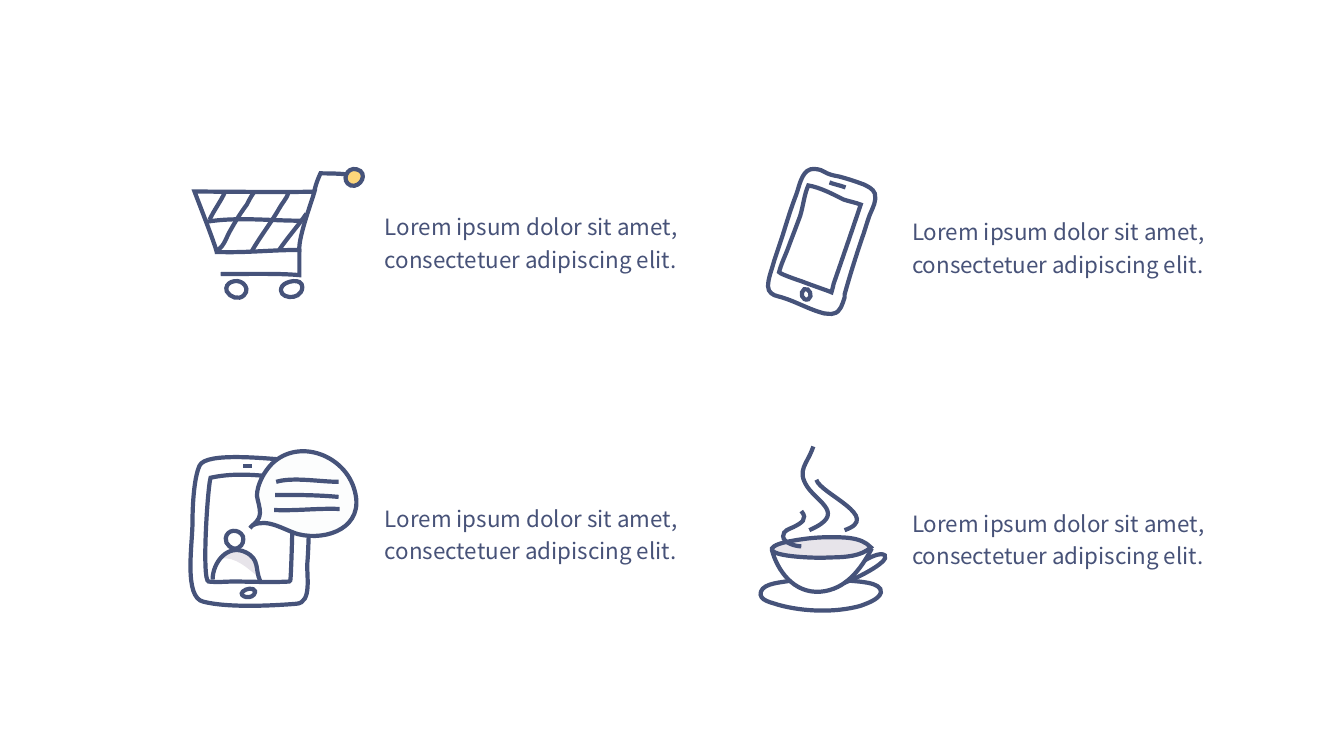
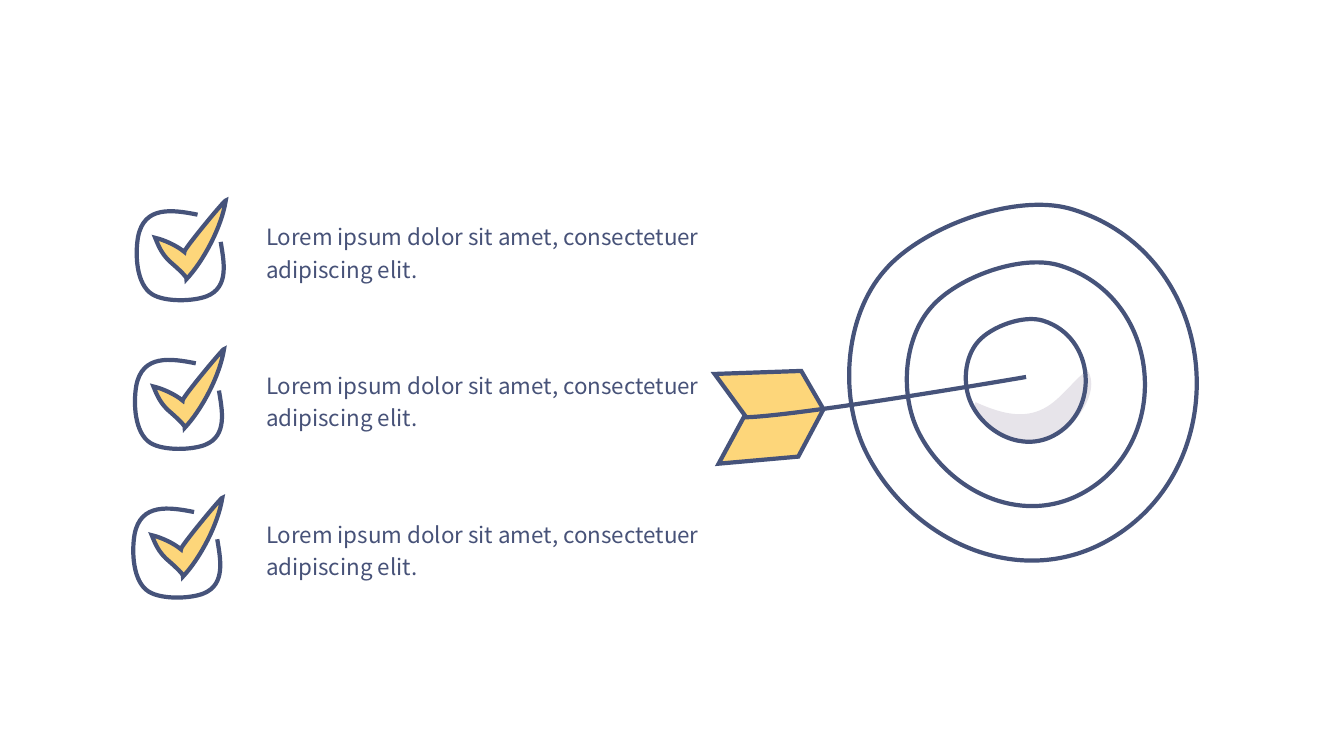
from dataclasses import dataclass
from typing import Optional

from lxml.etree import SubElement
from pptx import Presentation
from pptx.dml.color import RGBColor
from pptx.enum.shapes import MSO_CONNECTOR as Connector
from pptx.enum.text import MSO_ANCHOR as Anchor, MSO_AUTO_SIZE as AutoSize
from pptx.oxml.ns import qn
from pptx.util import Cm, Pt

INK = RGBColor(0x46, 0x53, 0x7A)
TEXT = RGBColor(0x47, 0x52, 0x78)
YELLOW = RGBColor(0xFD, 0xD6, 0x7A)
SHADE = RGBColor(0xE7, 0xE4, 0xEA)
BUBBLE = RGBColor(0xFC, 0xFD, 0xFD)

FONT = "Noto Sans CJK JP"
CAPTION = "Lorem ipsum dolor sit amet, consectetuer adipiscing elit."
STROKE_WIDTH = Pt(3)
INSET = Cm(0.1)
UNIT_CM = 0.0254  # drawing unit: a hundredth of an inch

Point = tuple[float, float]


@dataclass(frozen=True)
class Stroke:
    """An outline: a start point, then three points per Bezier curve.

    A straight outline lists its corners instead.
    """
    outline: str
    closed: bool = False
    fill: Optional[RGBColor] = None
    inked: bool = True
    straight: bool = False


@dataclass(frozen=True)
class Placement:
    dx: float = 0
    dy: float = 0
    scale: float = 1

    def apply(self, point: Point) -> Point:
        return self.dx + self.scale * point[0], self.dy + self.scale * point[1]


@dataclass(frozen=True)
class Caption:
    left: float
    top: float
    width: float
    height: float


HOME = Placement()

CART = [
    Stroke("312,190 300,191 202,190 193,190 196,198 214,244 215,250 "
           "245,251 268,248 297,248 296,235 310,198 312,190", closed=True),
    Stroke("297,247 297,253 297,265 297,273 277,271 238,272 219,272"),
    Stroke("241,281 235,276 222,280 225,289 228,295 237,298 242,293 "
           "246,289 245,284 241,281", closed=True),
    Stroke("300,285 300,275 283,279 280,284 273,296 299,300 300,285", closed=True),
    Stroke("312,189 314,180 318,172 318,172 318,172 337,172 343,173"),
    Stroke("354,168 344,165 338,180 348,184 358,187 366,171 354,168",
           closed=True, fill=YELLOW),
    Stroke("205,220 235,215 268,219 299,219"),
    Stroke("223,191 219,200 212,209 208,218"),
    Stroke("216,248 223,244 225,234 229,228 234,219 239,211 245,203 "
           "247,199 249,195 252,191"),
    Stroke("250,249 258,235 269,221 277,207 279,203 285,196 286,192"),
    Stroke("277,248 285,236 296,224 304,212"),
]

COFFEE = [
    Stroke("807,443 801,461 790,466 801,483 812,499 840,510 803,526"),
    Stroke("838,526 876,513 814,490 810,476"),
    Stroke("860,546 862,545 863,544 864,543 854,532 835,533 820,533 "
           "812,533 801,534 789,536 784,537 769,539 766,544 "
           "762,553 817,554 822,553 831,553 850,553 860,546", closed=True, fill=SHADE),
    Stroke("766,546 771,565 787,589 814,587 839,585 854,565 865,544"),
    Stroke("858,556 861,554 874,547 878,551 883,558 845,576 838,578"),
    Stroke("784,576 777,578 758,578 755,587 752,596 767,598 772,600 "
           "797,607 829,608 854,601 859,599 872,595 874,588 876,577 849,577 842,576"),
    Stroke("795,507 802,515 795,519 787,523 783,525 777,526 777,532 "
           "777,539 790,542 795,542"),
]

CHAT_PHONE = [
    Stroke("307,501 308,485 313,458 292,457 266,455 204,448 198,462 "
           "192,475 191,505 191,518 191,540 182,593 202,597 "
           "226,603 269,601 294,599 310,598 304,571 305,558 "
           "306,548 307,511 307,501", closed=True),
    Stroke("287,577 268,578 250,577 232,577 222,577 217,578 207,577 "
           "200,576 206,483 209,474 236,468 265,472 293,476 "
           "292,475 291,486 291,486 291,493 289,576 288,576 "
           "288,576 287,576 287,577", closed=True),
    Stroke("252,590 256,584 248,583 244,585 233,590 247,596 252,590", closed=True),
    Stroke("244,548 249,550 252,554 254,559 255,563 258,569 257,573 "
           "246,564 234,552 219,554 218,551 227,547 229,546 "
           "234,545 240,545 244,548", closed=True, fill=SHADE, inked=False),
    Stroke("237,543 241,541 242,536 241,532 237,524 225,525 224,534 "
           "223,540 231,546 235,544 236,544 236,544 237,543", closed=True),
    Stroke("211,575 211,558 226,539 244,548 258,555 253,565 258,576"),
    Stroke("248,524 253,518 257,518 258,509 258,503 256,498 255,492 "
           "255,481 262,468 270,460 297,434 343,452 352,487 "
           "362,523 325,537 296,530 282,526 266,514 251,521", fill=BUBBLE),
    Stroke("274,478 291,473 317,478 336,478"),
    Stroke("273,491 294,491 315,491 336,493"),
    Stroke("272,506 294,507 316,504 337,505"),
]
SPEAKER = ((250, 462), (241, 462))

PHONE = [
    Stroke("838,295 836,301 834,310 827,311 825,312 820,311 818,311 "
           "802,307 788,298 772,294 767,293 762,290 762,284 "
           "762,276 766,267 768,259 771,250 774,241 777,232 "
           "781,219 785,206 790,193 793,185 795,171 804,168 "
           "808,167 814,168 817,170 822,173 826,174 832,175 "
           "840,177 849,180 857,183 861,185 866,187 868,192 "
           "870,199 866,206 863,213 860,221 858,229 855,237 "
           "849,255 843,274 838,292 838,293 838,294 838,295", closed=True),
    Stroke("795,279 783,275 773,271 773,270 775,262 779,254 782,246 "
           "786,235 790,225 794,214 797,204 798,193 802,184 "
           "814,186 827,193 837,198 843,200 849,201 854,203 "
           "845,230 836,256 827,282 827,283 825,290 825,290 "
           "823,289 808,284 795,279", closed=True),
    Stroke("823,181 828,183 834,184 839,186"),
    Stroke("798,287 793,290 796,299 802,297 807,294 803,285 798,287", closed=True),
]

CHECK = [
    Stroke("196,213 171,208 143,204 137,235 134,252 135,282 151,292 "
           "164,300 192,299 205,294 228,285 222,259 219,240"),
    Stroke("224,199 224,197 181,249 183,250 176,244 163,238 154,236 "
           "158,246 161,252 168,259 169,260 187,275 185,277 "
           "202,259 220,225 224,199", closed=True, fill=YELLOW),
]

TARGET_SHADE = Stroke(
    "967,403 966,416 990,431 998,435 1014,441 1031,442 1046,434 "
    "1065,424 1093,390 1079,367 1063,379 1051,399 1032,407 "
    "1011,416 988,408 968,399 967,400 967,402 967,403",
    closed=True, fill=SHADE, inked=False)
RING = Stroke(
    "859,448 901,533 1005,585 1094,539 1230,468 1215,255 1065,208 "
    "1009,190 915,225 878,268 838,313 832,393 859,448", closed=True)
RING_PLACEMENTS = [HOME, Placement(322.6, 121.1, 0.685), Placement(667.6, 246.4, 0.345)]

ARROW = [
    Stroke("739,412 709,371 795,368 817,406 792,453 713,460",
           closed=True, fill=YELLOW, straight=True),
    Stroke("1018,374 1018,374 791,413 739,414"),
]


def units(value: float) -> Cm:
    return Cm(value * UNIT_CM)


def ink(line) -> None:
    line.color.rgb = INK
    line.width = STROKE_WIDTH
    SubElement(line._get_or_add_ln(), qn("a:miter"), lim="800000")


def bend(shape) -> None:
    """Turn every three line segments of a freeform into one Bezier curve."""
    outline = next(shape._element.iter(qn("a:path")))
    segments = outline.findall(qn("a:lnTo"))
    for curve, second, third in zip(segments[::3], segments[1::3], segments[2::3]):
        curve.tag = qn("a:cubicBezTo")
        for segment in (second, third):
            curve.append(segment[0])
            outline.remove(segment)


def draw_stroke(shapes, stroke: Stroke, placement: Placement = HOME) -> None:
    knots: list[Point] = []
    for pair in stroke.outline.split():
        x, y = placement.apply(tuple(map(float, pair.split(","))))
        knots.append((units(x), units(y)))
    builder = shapes.build_freeform(*knots[0])
    builder.add_line_segments(knots[1:], close=stroke.closed)
    shape = builder.convert_to_shape()
    if not stroke.straight:
        bend(shape)
    shape.shadow.inherit = False
    if stroke.fill is None:
        shape.fill.background()
    else:
        shape.fill.solid()
        shape.fill.fore_color.rgb = stroke.fill
    if stroke.inked:
        ink(shape.line)
    else:
        shape.line.fill.background()


def draw_icon(page, strokes: list[Stroke], placement: Placement = HOME):
    group = page.shapes.add_group_shape()
    for stroke in strokes:
        draw_stroke(group.shapes, stroke, placement)
    return group


def draw_line(shapes, start: Point, end: Point) -> None:
    line = shapes.add_connector(Connector.STRAIGHT, *map(units, start + end))
    ink(line.line)
    SubElement(line._element.spPr, qn("a:effectLst"))


def add_caption(page, caption: Caption) -> None:
    box = page.shapes.add_textbox(units(caption.left), units(caption.top),
                                  units(caption.width), units(caption.height))
    frame = box.text_frame
    frame.word_wrap = True
    frame.auto_size = AutoSize.SHAPE_TO_FIT_TEXT
    frame.vertical_anchor = Anchor.MIDDLE
    frame.margin_left = frame.margin_right = INSET
    frame.margin_top = frame.margin_bottom = INSET
    para = frame.paragraphs[0]
    para.line_spacing = 1.2
    span = para.add_run()
    span.text = CAPTION
    span.font.name = FONT
    span.font.size = Pt(16)
    span.font.color.rgb = TEXT


def build_icon_page(page) -> None:
    for strokes in (CART, COFFEE, PHONE):
        draw_icon(page, strokes)
    chat = draw_icon(page, CHAT_PHONE)
    draw_line(chat.shapes, *SPEAKER)
    for row in range(2):
        for column in range(2):
            add_caption(page, Caption(378 + 523 * column, 186 + 289 * row + 5 * column,
                                      313, 105))


def build_target_page(page) -> None:
    for row in range(3):
        add_caption(page, Caption(260, 212 + 147.5 * row, 482, 73))
        draw_icon(page, CHECK, Placement(-1.7 * row, 147.5 * row))
    target = draw_icon(page, [TARGET_SHADE])
    for placement in RING_PLACEMENTS:
        draw_stroke(target.shapes, RING, placement)
    draw_icon(page, ARROW)


def main() -> None:
    deck = Presentation()
    deck.slide_width, deck.slide_height = Cm(33.87), Cm(19.05)
    blank = deck.slide_layouts[6]
    for build in (build_icon_page, build_target_page):
        build(deck.slides.add_slide(blank))
    deck.save("out.pptx")


if __name__ == "__main__":
    main()
